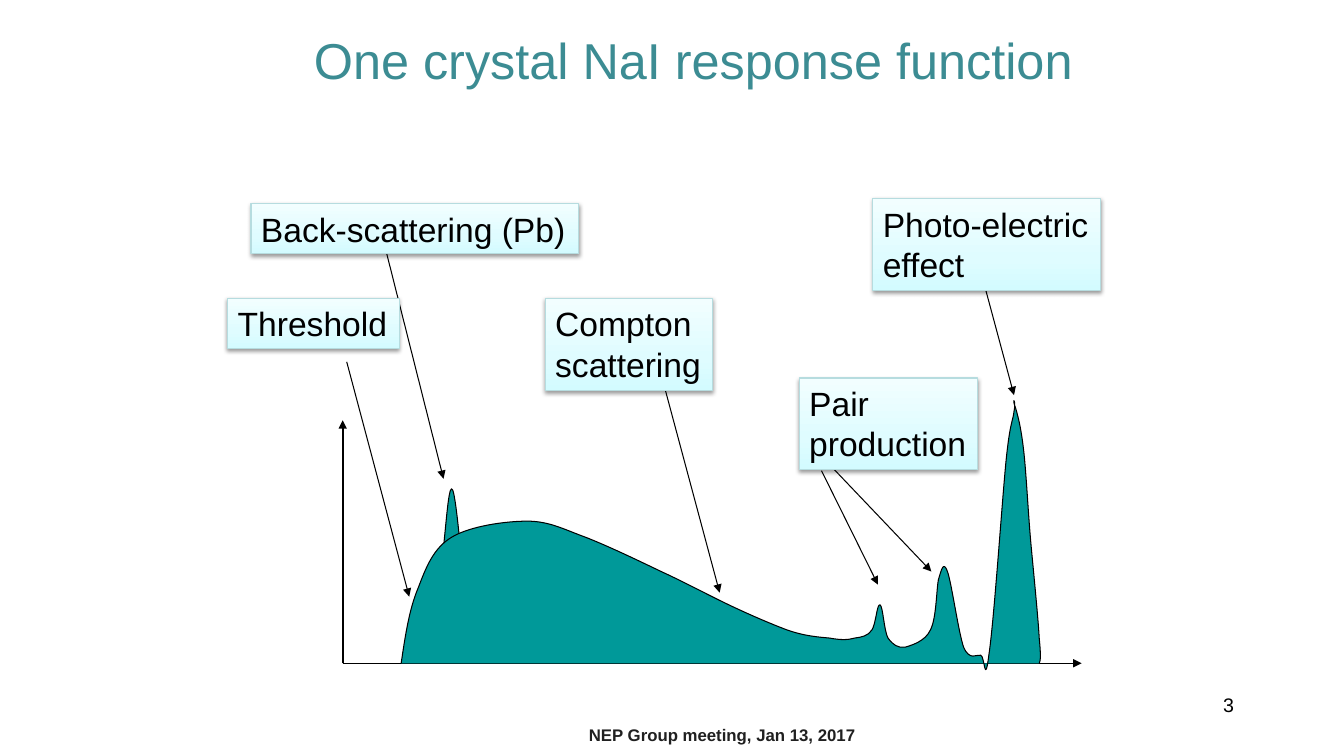
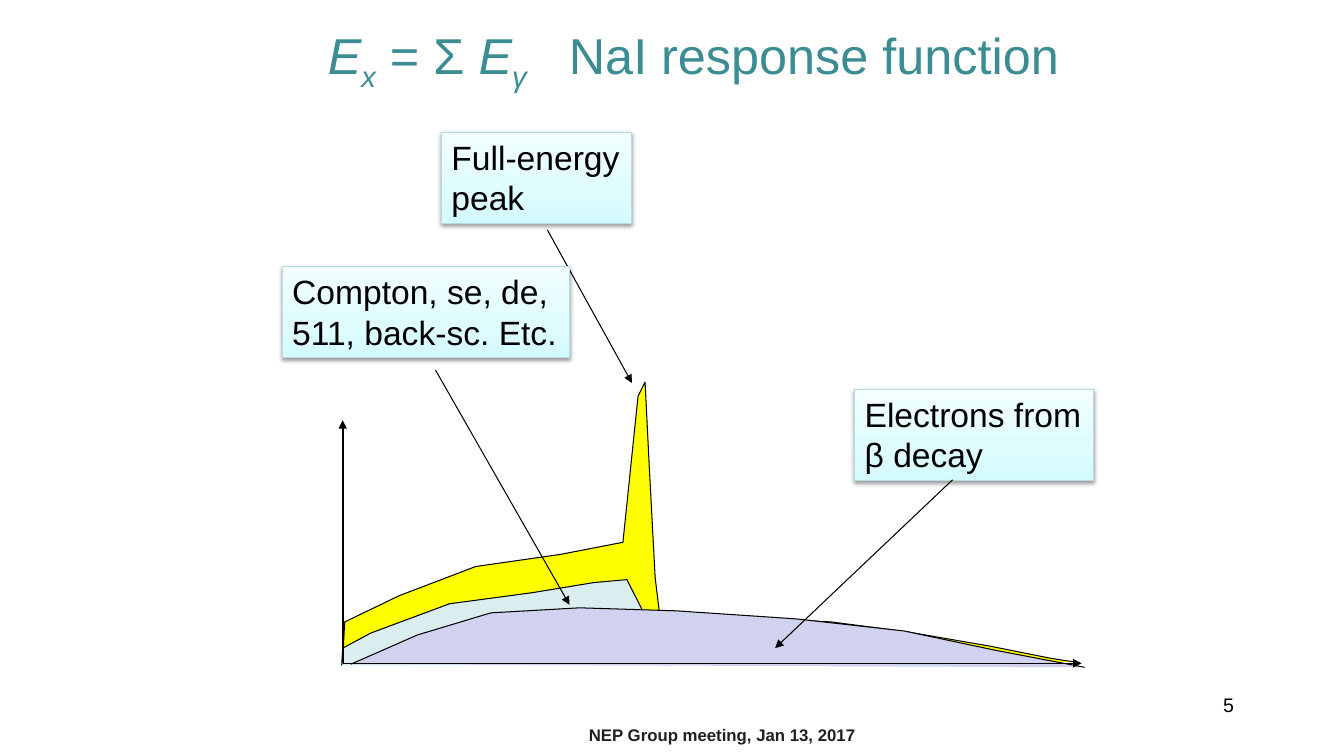
from lxml import etree
from pptx import Presentation
from pptx import util as u
from pptx.dml.color import RGBColor
from pptx.enum import shapes, text
from pptx.oxml.ns import qn

HEIGHT = u.Inches(7.5)
WIDTH = HEIGHT * 16 // 9
ROWS = 75
CELL = HEIGHT / ROWS
FONT = "Arial"
COLORS = {
    "title": "3C8C93",
    "footer": "202020",
    "ink": "000000",
    "spectrum": "009999",
    "full": "FFFF00",
    "partial": "DAEDEF",
    "electrons": "D1D1F0",
    "label_edge": "B6DCDF",
}
LABEL_STOPS = [(0, "D3FBFF"), (35, "DFFCFF"), (100, "F2FEFF")]
FOOTER = "NEP Group meeting, Jan 13, 2017"
ORIGIN, X_END, Y_END = (34, 65.8), (107.3, 65.8), (34, 41.7)

SPECTRUM = [
    (39.8, 65.8),
    (40.2, 63.1), (40.6, 60.4), (41.5, 58.3),
    (42.3, 56.2), (43, 54.4), (44.8, 53.3),
    (46.6, 52.2), (50.1, 51.7), (52.3, 51.7),
    (54.5, 51.7), (55.9, 52.5), (58.1, 53.3),
    (60.4, 54.2), (63.3, 55.6), (65.6, 56.7),
    (68, 57.8), (70.2, 59), (72.3, 60),
    (74.4, 61), (76.5, 61.9), (78.1, 62.5),
    (79.8, 63.1), (81.2, 63.2), (82.3, 63.3),
    (83.4, 63.5), (84.1, 63.5), (84.8, 63.3),
    (85.5, 63.2), (86.1, 63.1), (86.5, 62.5),
    (86.9, 61.9), (87, 59.9), (87.3, 60),
    (87.6, 60.1), (87.7, 62.6), (88.1, 63.3),
    (88.6, 64), (89.1, 64.3), (89.8, 64.2),
    (90.5, 64), (91.8, 63.6), (92.3, 62.5),
    (92.9, 61.4), (92.9, 58.5), (93.1, 57.5),
    (93.4, 56.5), (93.6, 55.6), (94, 56.7),
    (94.4, 57.8), (95.1, 62.8), (95.6, 64.2),
    (96.2, 65.6), (96.9, 64.9), (97.3, 65),
    (97.7, 65.1), (97.7, 68.2), (98.1, 65),
    (98.6, 61.8), (99.4, 49.9), (99.8, 45.8),
    (100.2, 41.8), (100.5, 41.8), (100.6, 40.8),
    (100.8, 39.9), (100.5, 39.4), (100.6, 40),
    (100.8, 40.6), (101.2, 41.8), (101.5, 44.2),
    (101.8, 46.5), (102, 51), (102.3, 54.2),
    (102.6, 57.4), (103, 61.4), (103.1, 63.3),
    (103.3, 65.3), (103.2, 65.6), (103.1, 65.8),
]
BACKSCATTER = [
    (44, 54.3),
    (44.3, 51.5), (44.5, 48.6), (44.8, 48.5),
    (45.1, 48.3), (45.5, 52.6), (45.6, 53.5),
]
FULL_ENERGY = [
    (34, 65.4), (34.2, 61.7), (39.6, 59.1), (47.2, 56.2), (55.6, 55),
    (61.8, 53.8), (63.3, 39.3), (64, 37.9), (64.4, 46), (65, 57.3),
    (65.4, 60.6), (72.4, 61.2), (82.5, 61.7), (90.1, 62.7), (98.2, 64.1),
    (104.2, 65.3), (106.8, 65.7),
]
PARTIAL_ENERGY = [
    (33.9, 66), (34, 64.3), (36.8, 62.8), (44.6, 59.9), (52.8, 58.8),
    (58.9, 57.8), (62.2, 57.5), (66.5, 66),
]
ELECTRONS = [
    (34.8, 65.9), (41.4, 63), (48.7, 60.8), (57.5, 60.3), (67.1, 60.6),
    (79, 61.4), (89.7, 62.6), (98.7, 64.5), (107.6, 66.2),
]


def grid(*cells):
    return [round(cell * CELL) for cell in cells]


def color(name):
    return RGBColor.from_string(COLORS[name])


def add_span(para, words, size, name, bold=False, italic=False):
    span = para.add_run()
    span.text = words
    font = span.font
    font.name, font.size, font.bold, font.italic = FONT, u.Pt(size), bold, italic
    font.color.rgb = color(name)
    return span


def add_text_box(page, place, align, anchor=text.MSO_ANCHOR.TOP):
    box = page.shapes.add_textbox(*grid(*place))
    box.text_frame.word_wrap = True
    box.text_frame.vertical_anchor = anchor
    para = box.text_frame.paragraphs[0]
    para.alignment = align
    return para


def add_title(page, spans):
    para = add_text_box(page, (25.3, 1, 87, 9.7), text.PP_ALIGN.CENTER, text.MSO_ANCHOR.MIDDLE)
    for words, italic, attributes in spans:
        span = add_span(para, words, 36, "title", italic=italic)
        for key, value in attributes.items():
            span.font._element.set(key, value)


def add_footer(page, number):
    para = add_text_box(page, (45.4, 71.4, 52.5, 5), text.PP_ALIGN.CENTER)
    add_span(para, FOOTER, 12, "footer", bold=True)
    para = add_text_box(page, (95.6, 68.3, 27.8, 5), text.PP_ALIGN.RIGHT)
    add_span(para, number, 14, "ink")


def add_arrow(page, start, end, weight=0.75):
    arrow = page.shapes.add_connector(shapes.MSO_CONNECTOR.STRAIGHT, *grid(*start, *end))
    arrow.line.color.rgb = color("ink")
    arrow.line.width = u.Pt(weight)
    etree.SubElement(arrow.line._get_or_add_ln(), qn("a:tailEnd"), type="triangle")
    etree.SubElement(arrow._element.spPr, qn("a:effectLst"))


def add_x_axis(page):
    add_arrow(page, ORIGIN, X_END, 1)


def add_y_axis(page):
    add_arrow(page, ORIGIN, Y_END, 1.5)


def add_area(page, points, name):
    corners = [grid(*point) for point in points]
    builder = page.shapes.build_freeform(*corners[0])
    builder.add_line_segments(corners[1:], close=False)
    area = builder.convert_to_shape()
    area.shadow.inherit = False
    area.fill.solid()
    area.fill.fore_color.rgb = color(name)
    area.line.color.rgb = color("ink")
    area.line.width = u.Pt(0.75)
    return area


def add_curved_area(page, controls, name):
    area = add_area(page, controls, name)
    segments = list(area._element.iter(qn("a:lnTo")))
    outline = segments[0].getparent()
    for first in range(0, len(segments), 3):
        curve = etree.SubElement(outline, qn("a:cubicBezTo"))
        for segment in segments[first:first + 3]:
            curve.append(segment[0])
            outline.remove(segment)


def add_label_shadow(box):
    box.shadow.inherit = False
    effects = box._element.spPr.find(qn("a:effectLst"))
    shadow = etree.SubElement(
        effects, qn("a:outerShdw"), blurRad=str(u.Pt(3.1)), dist=str(u.Pt(1.6)),
        dir="5400000", rotWithShape="0",
    )
    tint = etree.SubElement(shadow, qn("a:srgbClr"), val=COLORS["ink"])
    etree.SubElement(tint, qn("a:alpha"), val="38000")


def add_label(page, left, top, width, lines):
    height = 0.9 + 4.1 * len(lines)
    box = page.shapes.add_shape(
        shapes.MSO_SHAPE.RECTANGLE, *grid(left, top, width, height))
    box.fill.gradient()
    box.fill.gradient_angle = 90
    stops = box._element.spPr.find(qn("a:gradFill")).find(qn("a:gsLst"))
    stops.clear()
    for share, tint in LABEL_STOPS:
        stop = etree.SubElement(stops, qn("a:gs"), pos=str(share * 1000))
        etree.SubElement(stop, qn("a:srgbClr"), val=tint)
    box.line.color.rgb = color("label_edge")
    box.line.width = u.Pt(0.75)
    add_label_shadow(box)
    frame = box.text_frame
    frame.word_wrap = False
    frame.auto_size = text.MSO_AUTO_SIZE.SHAPE_TO_FIT_TEXT
    frame.vertical_anchor = text.MSO_ANCHOR.TOP
    for index, words in enumerate(lines):
        para = frame.add_paragraph() if index else frame.paragraphs[0]
        para.alignment = text.PP_ALIGN.LEFT
        add_span(para, words, 24, "ink")


def add_page(deck, number, title, parts):
    page = deck.slides.add_slide(deck.slide_layouts[6])
    add_footer(page, number)
    add_title(page, title)
    for add_part, *values in parts:
        add_part(page, *values)


def main():
    deck = Presentation()
    deck.slide_width, deck.slide_height = WIDTH, HEIGHT
    add_page(deck, "3", [("One crystal NaI response function", False, {})], [
        (add_x_axis,),
        (add_y_axis,),
        (add_curved_area, BACKSCATTER, "spectrum"),
        (add_arrow, (97.4, 27.3), (100.6, 39.2)),
        (add_arrow, (65.9, 38.3), (71.4, 58.8)),
        (add_arrow, (82.4, 46.2), (92.4, 56.7)),
        (add_arrow, (38.3, 24.9), (44, 47.5)),
        (add_arrow, (81.5, 46.7), (87.1, 58)),
        (add_curved_area, SPECTRUM, "spectrum"),
        (add_arrow, (34.4, 35.9), (40.6, 59.2)),
        (add_label, 86.6, 19.7, 22.6, ["Photo-electric", "effect"]),
        (add_label, 54.1, 29.6, 16.6, ["Compton", "scattering"]),
        (add_label, 79.3, 37.5, 17.7, ["Pair", "production"]),
        (add_label, 24.9, 20.2, 32.5, ["Back-scattering (Pb)"]),
        (add_label, 22.6, 29.6, 17, ["Threshold"]),
    ])
    subscript = {"baseline": "-25000"}
    response = [
        ("E", True, {}), ("x", True, subscript), (" = Σ ", False, {}),
        ("E", True, {}), ("γ", True, subscript), (" ", False, {"spc": "2000"}),
        ("NaI response function", False, {}),
    ]
    add_page(deck, "5", response, [
        (add_area, FULL_ENERGY, "full"),
        (add_area, PARTIAL_ENERGY, "partial"),
        (add_y_axis,),
        (add_arrow, (54.3, 22.8), (62.7, 38)),
        (add_label, 43.8, 13.1, 18.9, ["Full-energy", "peak"]),
        (add_area, ELECTRONS, "electrons"),
        (add_label, 84.8, 38.6, 23.7, ["Electrons from", "β decay"]),
        (add_arrow, (94.5, 47.6), (76.9, 64.3)),
        (add_label, 28, 26.4, 28.5, ["Compton, se, de,", "511, back-sc. Etc."]),
        (add_arrow, (43.2, 36.7), (56.5, 60)),
        (add_x_axis,),
    ])
    deck.save("out.pptx")


if __name__ == "__main__":
    main()
